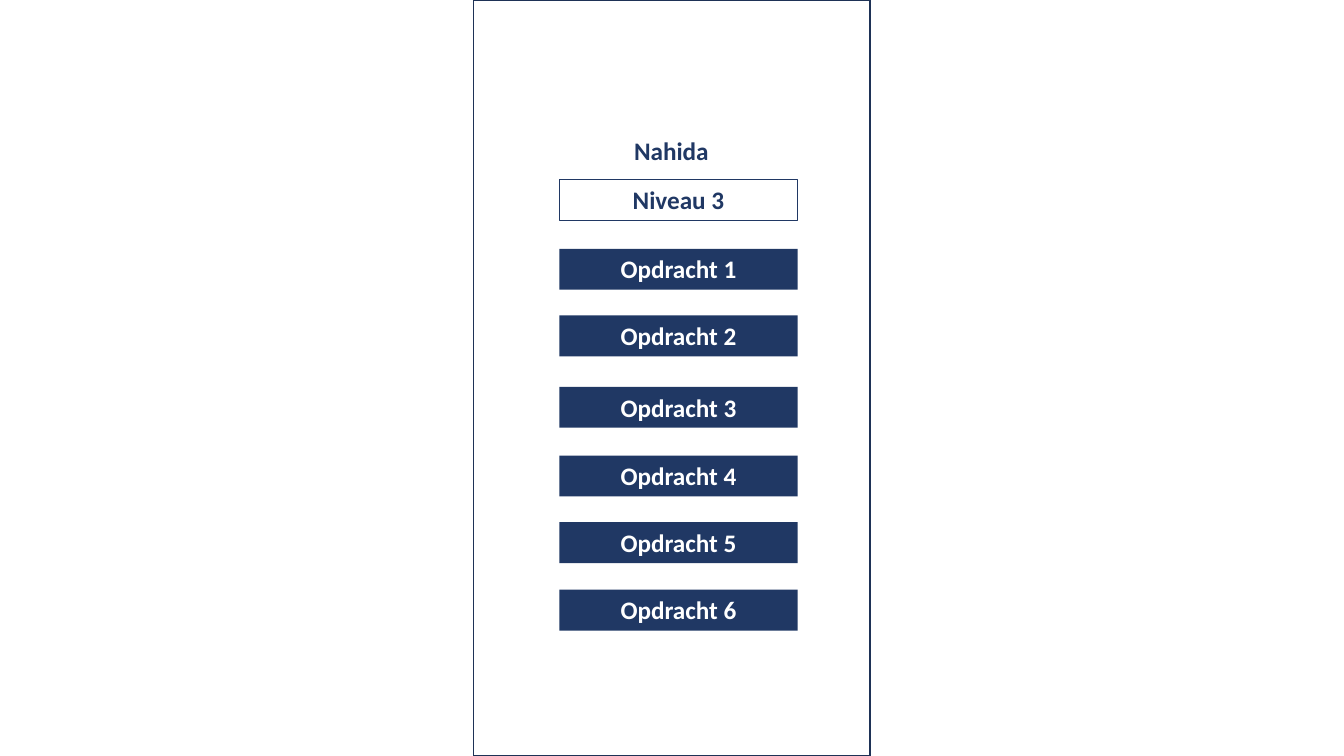
from dataclasses import dataclass

from pptx import Presentation
from pptx.dml.color import RGBColor
from pptx.enum.shapes import MSO_SHAPE as Shape
from pptx.enum.text import MSO_ANCHOR as Anchor, MSO_AUTO_SIZE as AutoSize, PP_ALIGN as Align
from pptx.util import Cm, Pt


@dataclass(frozen=True)
class Theme:
    navy: RGBColor = RGBColor(0x20, 0x38, 0x64)
    frame: RGBColor = RGBColor(0x1E, 0x32, 0x56)
    white: RGBColor = RGBColor(0xFF, 0xFF, 0xFF)
    font: str = "Calibri"
    label_size: int = 18
    frame_line: float = 1
    level_line: float = 0.75


class SlideBuilder:
    def __init__(self, slide, theme):
        self.s = slide
        self.theme = theme

    def box(self, left, top, width, height, fill=None, line=None, line_width=1):
        sp = self.s.shapes.add_shape(Shape.RECTANGLE, Cm(left), Cm(top), Cm(width), Cm(height))
        sp.shadow.inherit = False
        if fill is None:
            sp.fill.background()
        else:
            sp.fill.solid()
            sp.fill.fore_color.rgb = fill
        if line is None:
            sp.line.fill.background()
        else:
            sp.line.color.rgb = line
            sp.line.width = Pt(line_width)
        return sp

    def text_box(self, left, top, width, height):
        return self.s.shapes.add_textbox(Cm(left), Cm(top), Cm(width), Cm(height))

    def label(self, sp, text, color):
        """Write one bold, centred line into the shape."""
        tf = sp.text_frame
        tf.word_wrap = True
        tf.auto_size = AutoSize.SHAPE_TO_FIT_TEXT
        tf.vertical_anchor = Anchor.TOP
        p = tf.paragraphs[0]
        p.alignment = Align.CENTER
        r = p.add_run()
        r.text = text
        r.font.name = self.theme.font
        r.font.size = Pt(self.theme.label_size)
        r.font.bold = True
        r.font.color.rgb = color


SLIDE_WIDTH, SLIDE_HEIGHT = 33.87, 19.05
LABEL_WIDTH, LABEL_HEIGHT = 6, 1.03
BUTTON_LEFT = 14.1
ASSIGNMENT_TOPS = (6.27, 7.95, 9.75, 11.48, 13.16, 14.86)


def main():
    prs = Presentation()
    prs.slide_width, prs.slide_height = Cm(SLIDE_WIDTH), Cm(SLIDE_HEIGHT)
    theme = Theme()
    page = SlideBuilder(prs.slides.add_slide(prs.slide_layouts[6]), theme)

    page.box(11.93, 0, 10, SLIDE_HEIGHT, line=theme.frame, line_width=theme.frame_line)

    name = page.text_box(13.92, 3.28, LABEL_WIDTH, LABEL_HEIGHT)
    page.label(name, "Nahida", theme.navy)

    level = page.box(BUTTON_LEFT, 4.52, LABEL_WIDTH, LABEL_HEIGHT,
                     line=theme.navy, line_width=theme.level_line)
    page.label(level, "Niveau 3", theme.navy)

    for number, top in enumerate(ASSIGNMENT_TOPS, start=1):
        button = page.box(BUTTON_LEFT, top, LABEL_WIDTH, LABEL_HEIGHT, fill=theme.navy)
        page.label(button, f"Opdracht {number}", theme.white)

    prs.save("out.pptx")


if __name__ == "__main__":
    main()
